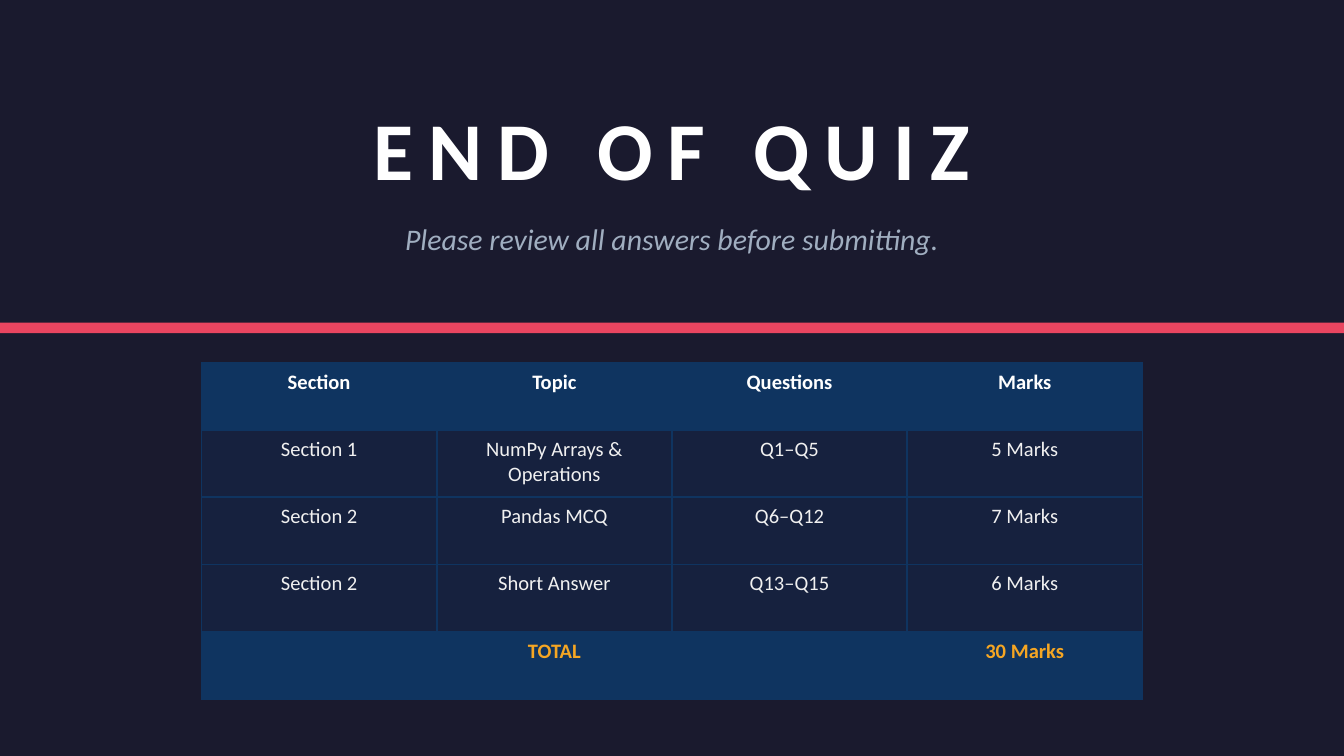
"""Build the closing slide of a quiz with a table of marks."""
import pptx
import pptx.dml.color
import pptx.enum.shapes
import pptx.enum.text
import pptx.oxml
import pptx.util
from pptx.oxml.ns import nsdecls

Pt = pptx.util.Pt
CENTER = pptx.enum.text.PP_ALIGN.CENTER
NAVY, MIDNIGHT = "0F3460", "16213E"
INSET = Pt(3.6)


def paint(color_format, value):
    color_format.rgb = pptx.dml.color.RGBColor.from_string(value)


def set_text(paragraph, text, size, color, bold=False, italic=False):
    paragraph.text = text
    paragraph.alignment = CENTER
    font = paragraph.font
    font.name, font.size, font.bold, font.italic = "Calibri", Pt(size), bold, italic
    paint(font.color, color)


deck = pptx.Presentation()
deck.slide_width, deck.slide_height = Pt(720), Pt(405)
slide = deck.slides.add_slide(deck.slide_layouts[6])
slide.background.fill.solid()
paint(slide.background.fill.fore_color, "1A1A2E")

divider = slide.shapes.add_shape(
    pptx.enum.shapes.MSO_SHAPE.RECTANGLE, Pt(0), Pt(172.8), Pt(720), Pt(5.76))
divider.shadow.inherit = False
divider.fill.solid()
paint(divider.fill.fore_color, "E94560")
divider.line.fill.background()

headings = [
    ("END OF QUIZ", 53.28, 51.84, 44, "FFFFFF", True, False, 8),
    ("Please review all answers before submitting.", 115.92, 23.76, 16, "A0AEC0", False, True, 0),
]
for text, top, height, size, color, bold, italic, spacing in headings:
    frame = slide.shapes.add_textbox(Pt(39.6), Pt(top), Pt(640.8), Pt(height)).text_frame
    frame.word_wrap = True
    frame.auto_size = pptx.enum.text.MSO_AUTO_SIZE.SHAPE_TO_FIT_TEXT
    frame.vertical_anchor = pptx.enum.text.MSO_ANCHOR.MIDDLE
    frame.margin_left = frame.margin_right = frame.margin_top = frame.margin_bottom = INSET
    set_text(frame.paragraphs[0], text, size, color, bold, italic)
    if spacing:
        frame.paragraphs[0].runs[0]._r.get_or_add_rPr().set("spc", str(spacing * 100))

rows = [
    ("Section", "Topic", "Questions", "Marks"),
    ("Section 1", "NumPy Arrays & Operations", "Q1–Q5", "5 Marks"),
    ("Section 2", "Pandas MCQ", "Q6–Q12", "7 Marks"),
    ("Section 2", "Short Answer", "Q13–Q15", "6 Marks"),
    ("", "TOTAL", "", "30 Marks"),
]
body_style = (MIDNIGHT, "F0F0F0", False)
row_styles = [(NAVY, "FFFFFF", True), *[body_style] * 3, (NAVY, "F5A623", True)]
marks = slide.shapes.add_table(5, 4, Pt(108), Pt(194.4), Pt(504), Pt(180)).table
for row, (texts, (fill, color, bold)) in enumerate(zip(rows, row_styles)):
    for column, text in enumerate(texts):
        cell = marks.cell(row, column)
        cell.margin_left = cell.margin_right = cell.margin_top = cell.margin_bottom = INSET
        set_text(cell.text_frame.paragraphs[0], text, 11, color, bold)
        properties = cell._tc.get_or_add_tcPr()
        for side in ("lnL", "lnR", "lnT", "lnB"):
            properties.append(pptx.oxml.parse_xml(
                f'<a:{side} {nsdecls("a")} w="12700"><a:solidFill>'
                f'<a:srgbClr val="{NAVY}"/></a:solidFill></a:{side}>'))
        cell.fill.solid()
        paint(cell.fill.fore_color, fill)

deck.save("out.pptx")
